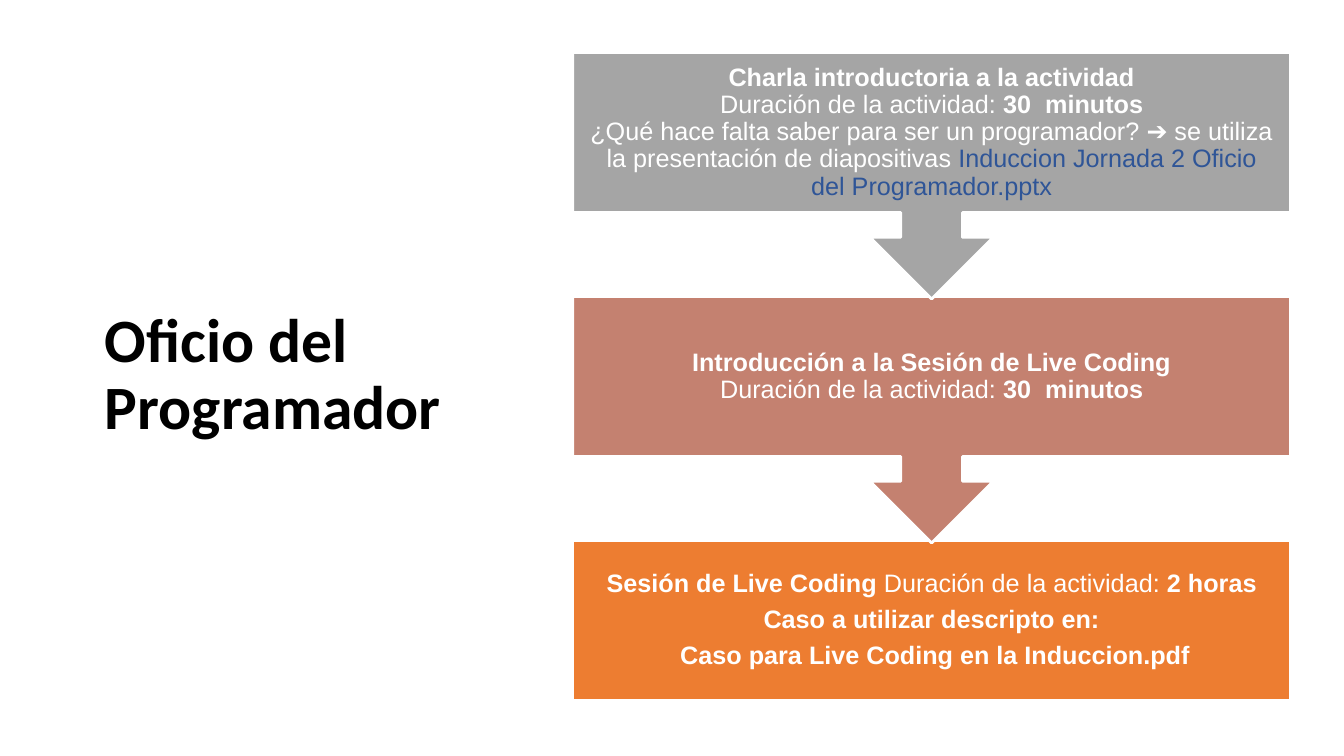
from dataclasses import dataclass

from pptx import Presentation
from pptx.dml.color import RGBColor as RGB
from pptx.enum.shapes import MSO_SHAPE as Shape
from pptx.enum.text import MSO_ANCHOR as Anchor, MSO_AUTO_SIZE as Fit, PP_ALIGN as Align
from pptx.util import Inches, Pt


@dataclass(frozen=True)
class Theme:
    """Colours, fonts and type sizes of the slide."""
    ink: RGB = RGB.from_string("000000")
    white: RGB = RGB.from_string("FFFFFF")
    link: RGB = RGB.from_string("2F5597")
    grey: RGB = RGB.from_string("A5A5A5")
    clay: RGB = RGB.from_string("C48170")
    orange: RGB = RGB.from_string("ED7D31")
    head: str = "Calibri"
    body: str = "Arial"
    big: float = 44
    size: float = 18
    gap: float = 6.3
    edge: float = 2
    lead: float = 0.9


LOOK = Theme()
WIDE, HIGH = Inches(13.33), Inches(7.5)
PAD = Inches(0.14)
BOX_PART = 0.65
TIME = "Duración de la actividad: "
HALF = [(TIME, ""), ("30  minutos", "b")]

STEPS = [
    (LOOK.grey, [[
        [("Charla introductoria a la actividad", "b")],
        HALF,
        [("¿Qué hace falta saber para ser un programador? ➔ se utiliza "
          "la presentación de diapositivas ", ""),
         ("Induccion Jornada 2 Oficio del Programador.pptx", "link")],
    ]]),
    (LOOK.clay, [[
        [("Introducción a la Sesión de Live Coding", "b")],
        HALF,
    ]]),
    (LOOK.orange, [
        [[("Sesión de Live Coding ", "b"), (TIME, ""), ("2 horas", "b")]],
        [[("Caso a utilizar descripto en:", "b")]],
        [[(" Caso para Live Coding en la Induccion.pdf", "b")]],
    ]),
]


def style(para, face, size, color, align):
    """Set the shared type of one paragraph."""
    para.alignment = align
    para.line_spacing = LOOK.lead
    para.font.name = face
    para.font.size = Pt(size)
    para.font.color.rgb = color


def title(slide, box, text):
    """Place the slide title in the box."""
    head = slide.shapes.title
    head.left, head.top, head.width, head.height = box
    frame = head.text_frame
    frame.text = text
    frame.word_wrap = True
    frame.auto_size = Fit.NONE
    frame.vertical_anchor = Anchor.MIDDLE
    para = frame.paragraphs[0]
    style(para, LOOK.head, LOOK.big, LOOK.ink, Align.LEFT)
    para.font.bold = True


def write(frame, paras):
    """Fill a step with paragraphs made of lines of marked runs."""
    frame.word_wrap = True
    frame.vertical_anchor = Anchor.MIDDLE
    frame.margin_left = frame.margin_right = PAD
    frame.margin_top = frame.margin_bottom = PAD
    for i, lines in enumerate(paras):
        para = frame.add_paragraph() if i else frame.paragraphs[0]
        style(para, LOOK.body, LOOK.size, LOOK.white, Align.CENTER)
        para.space_after = Pt(LOOK.gap)
        for j, line in enumerate(lines):
            if j:
                para.add_line_break()
            for text, mark in line:
                run = para.add_run()
                run.text = text
                run.font.bold = mark == "b"
                if mark == "link":
                    run.font.color.rgb = LOOK.link


def flow(slide, box, steps):
    """Stack the steps down the box, each pointing at the next."""
    left, top, width, height = box
    last = len(steps) - 1
    pitch = Inches(2.42)
    tall = height - last * pitch
    for i, (color, paras) in reversed(list(enumerate(steps))):
        kind = Shape.RECTANGLE if i == last else Shape.DOWN_ARROW_CALLOUT
        high = tall if i == last else int(tall / BOX_PART)
        step = slide.shapes.add_shape(kind, left, top + i * pitch, width, high)
        step.shadow.inherit = False
        step.fill.solid()
        step.fill.fore_color.rgb = color
        step.line.color.rgb = LOOK.white
        step.line.width = Pt(LOOK.edge)
        write(step.text_frame, paras)


def main():
    """Build and save the slide."""
    deck = Presentation()
    deck.slide_width, deck.slide_height = WIDE, HIGH
    slide = deck.slides.add_slide(deck.slide_layouts[5])
    title(slide, (Inches(0.94), Inches(1.11), Inches(3.74), Inches(5.24)),
          "Oficio del Programador")
    flow(slide, (Inches(5.68), Inches(0.52), Inches(7.12), Inches(6.43)), STEPS)
    deck.save("out.pptx")


if __name__ == "__main__":
    main()
